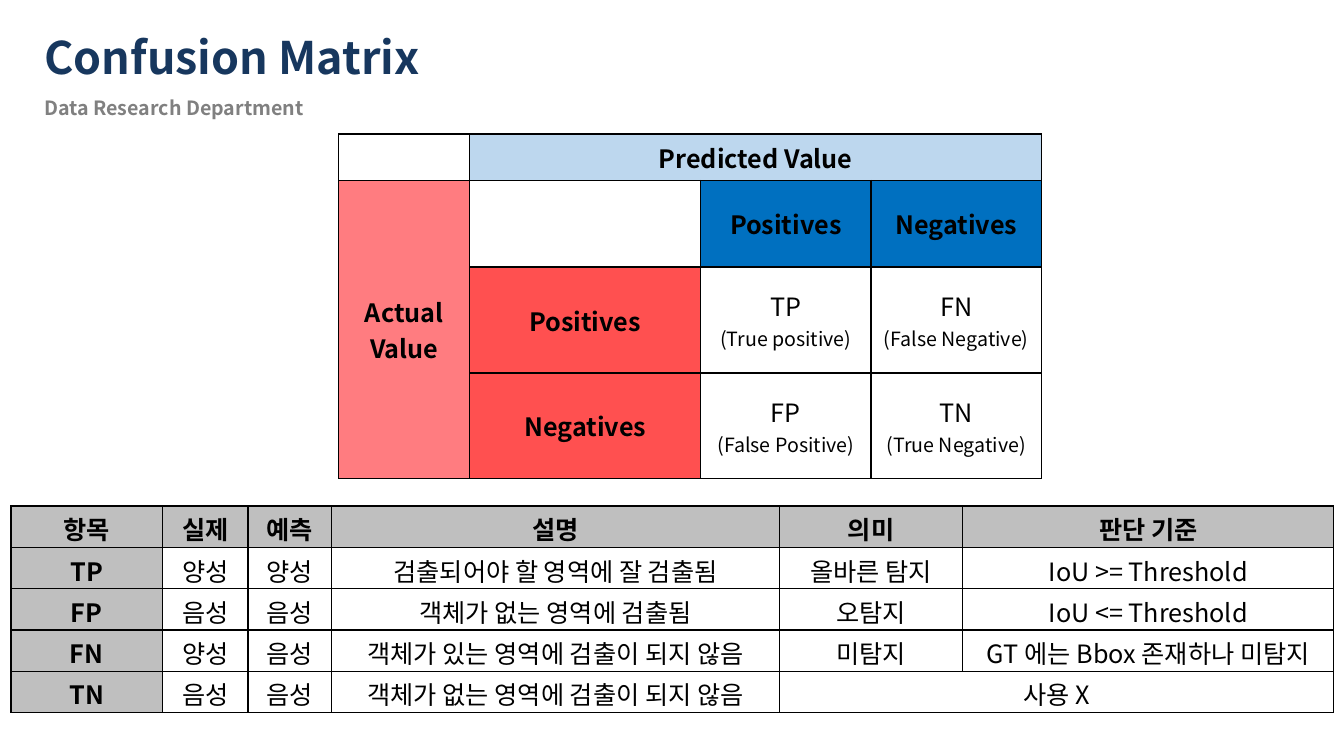
from dataclasses import dataclass

from lxml import etree
from pptx import Presentation
from pptx.dml.color import RGBColor
from pptx.enum.text import MSO_ANCHOR, PP_ALIGN
from pptx.oxml.ns import qn
from pptx.slide import Slide
from pptx.table import _Cell
from pptx.text.text import TextFrame
from pptx.util import Inches, Pt

MIDDLE = MSO_ANCHOR.MIDDLE
LEFT, CENTER = PP_ALIGN.LEFT, PP_ALIGN.CENTER


@dataclass(frozen=True)
class Theme:
    font: str = "Noto Sans CJK KR"
    title: int = 32
    body: int = 18
    small: int = 14
    line: int = 1
    navy: str = "17375E"
    muted: str = "808080"
    black: str = "000000"
    white: str = "FFFFFF"
    sky: str = "BDD7EE"
    blue: str = "0070C0"
    pink: str = "FF7C80"
    red: str = "FF5050"
    gray: str = "BFBFBF"


THEME = Theme()


@dataclass(frozen=True)
class Item:
    text: str = ""
    fill: str = THEME.white
    bold: bool = False
    note: str = ""


@dataclass(frozen=True)
class Grid:
    left: float
    top: float
    cols: list[float]
    rows: list[float]
    items: list[list[Item]]
    spans: list[tuple[int, int, int, int]]
    pad: tuple[float, float]


def write(frame: TextFrame, text: str, *, size: int = THEME.body,
          color: str = THEME.black, bold: bool = False,
          align: PP_ALIGN = CENTER, more: bool = False) -> None:
    """Write one paragraph per line; more=True appends to what is there."""
    for line in text.split("\n"):
        para = frame.add_paragraph() if more else frame.paragraphs[0]
        more = True
        para.alignment = align
        run = para.add_run()
        run.text = line
        font = run.font
        font.name, font.size, font.bold = THEME.font, Pt(size), bold
        font.color.rgb = RGBColor.from_string(color)
        east = etree.SubElement(run._r.get_or_add_rPr(), qn("a:ea"))
        east.set("typeface", THEME.font)


def add_head(slide: Slide, text: str, top: float, width: float, height: float,
             size: int, color: str) -> None:
    box = slide.shapes.add_textbox(
        Inches(0.34), Inches(top), Inches(width), Inches(height))
    frame = box.text_frame
    frame.word_wrap = True
    frame.margin_top = frame.margin_bottom = 0
    frame.vertical_anchor = MIDDLE
    write(frame, text, size=size, color=color, bold=True, align=LEFT)


def set_edges(cell: _Cell) -> None:
    props = cell._tc.get_or_add_tcPr()
    for index, side in enumerate(("lnL", "lnR", "lnT", "lnB")):
        edge = etree.Element(qn(f"a:{side}"), w=str(Pt(THEME.line)))
        fill = etree.SubElement(edge, qn("a:solidFill"))
        etree.SubElement(fill, qn("a:srgbClr"), val=THEME.black)
        props.insert(index, edge)


def add_grid(slide: Slide, grid: Grid) -> None:
    table = slide.shapes.add_table(
        len(grid.rows), len(grid.cols), Inches(grid.left), Inches(grid.top),
        Inches(sum(grid.cols)), Inches(sum(grid.rows))).table
    table.first_row = table.horz_banding = False
    for col, width in zip(table.columns, grid.cols):
        col.width = Inches(width)
    for row, height in zip(table.rows, grid.rows):
        row.height = Inches(height)
    for row, items in zip(table.rows, grid.items):
        for cell, item in zip(row.cells, items):
            cell.margin_left = cell.margin_right = Inches(0.05)
            cell.margin_top, cell.margin_bottom = map(Inches, grid.pad)
            cell.vertical_anchor = MIDDLE
            cell.fill.solid()
            cell.fill.fore_color.rgb = RGBColor.from_string(item.fill)
            set_edges(cell)
            if item.text:
                write(cell.text_frame, item.text, bold=item.bold)
            if item.note:
                write(cell.text_frame, item.note, size=THEME.small, more=True)
    for top, left, bottom, right in grid.spans:
        table.cell(top, left).merge(table.cell(bottom, right))


def matrix() -> Grid:
    blank = Item()
    sky, pink = Item(fill=THEME.sky), Item(fill=THEME.pink)
    return Grid(
        3.36, 1.33, [1.3, 2.29, 1.69, 1.69], [0.46, 0.86, 1.05, 1.05],
        [[blank, Item("Predicted Value", THEME.sky, True), sky, sky],
         [Item("Actual\nValue", THEME.pink, True), blank,
          Item("Positives", THEME.blue, True),
          Item("Negatives", THEME.blue, True)],
         [pink, Item("Positives", THEME.red, True),
          Item("TP", note="(True positive)"),
          Item("FN", note="(False Negative)")],
         [pink, Item("Negatives", THEME.red, True),
          Item("FP", note="(False Positive)"),
          Item("TN", note="(True Negative)")]],
        [(0, 1, 0, 3), (1, 0, 3, 0)], (0.04, 0.04))


def terms() -> Grid:
    rows = [
        ("항목", "실제", "예측", "설명", "의미", "판단 기준"),
        ("TP", "양성", "양성", "검출되어야 할 영역에 잘 검출됨",
         "올바른 탐지", "IoU >= Threshold"),
        ("FP", "음성", "음성", "객체가 없는 영역에 검출됨",
         "오탐지", "IoU <= Threshold"),
        ("FN", "양성", "음성", "객체가 있는 영역에 검출이 되지 않음",
         "미탐지", "GT 에는 Bbox 존재하나 미탐지"),
        ("TN", "음성", "음성", "객체가 없는 영역에 검출이 되지 않음",
         "사용 X", ""),
    ]
    items = [[Item(text, THEME.gray, True) if r == 0 or c == 0 else Item(text)
              for c, text in enumerate(row)] for r, row in enumerate(rows)]
    return Grid(0.11, 5.02, [1.5, 0.85, 0.83, 4.44, 1.82, 3.68],
                [0.41] * len(rows), items, [(4, 4, 4, 5)], (0.04, 0))


def main() -> None:
    deck = Presentation()
    deck.slide_width, deck.slide_height = Inches(13.33), Inches(7.5)
    slide = deck.slides.add_slide(deck.slide_layouts[6])
    add_head(slide, "Confusion Matrix", 0.24, 8.15, 0.64,
             THEME.title, THEME.navy)
    add_head(slide, "Data Research Department", 0.9, 6.03, 0.34,
             THEME.small, THEME.muted)
    for grid in (matrix(), terms()):
        add_grid(slide, grid)
    deck.save("out.pptx")


if __name__ == "__main__":
    main()
